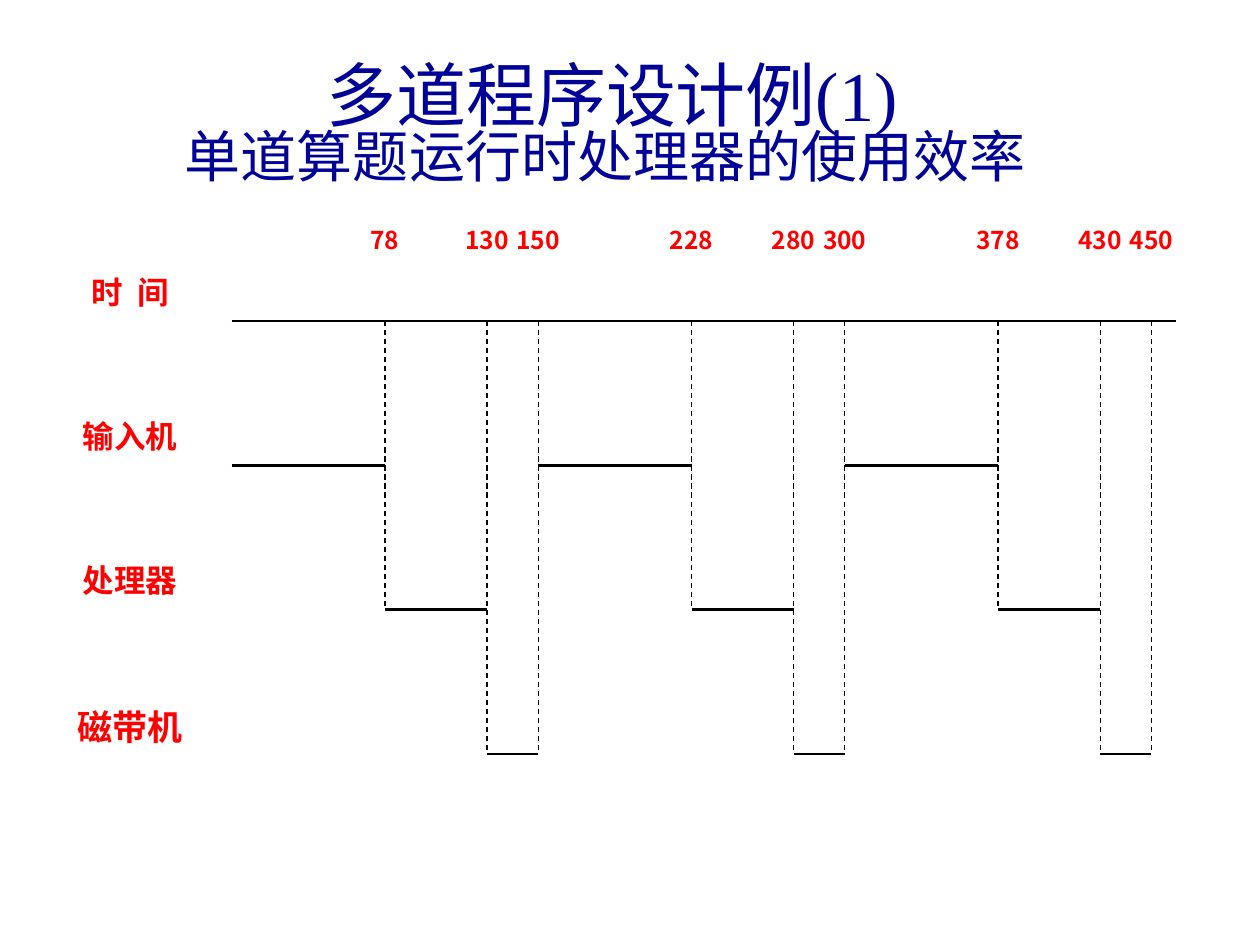
from lxml.etree import SubElement
from pptx import Presentation
from pptx.dml.color import RGBColor
from pptx.enum.dml import MSO_LINE_DASH_STYLE as Dash
from pptx.enum.shapes import MSO_CONNECTOR as Connector
from pptx.enum.text import MSO_ANCHOR as Anchor, PP_ALIGN as Align
from pptx.oxml.ns import qn
from pptx.util import Cm, Pt

CJK_FONT = "Noto Sans CJK SC"
LATIN_FONT = "Times New Roman"
NAVY, RED, BLACK = "000099", "FF0000", "000000"

# Time runs right from AXIS_LEFT; one cycle is 3 + 2 + 1 steps.
AXIS_LEFT, STEP = 4.67, 1.03
AXIS_TOP, ROW_GAP = 6.47, 2.91
CYCLE_STEPS = 6
PHASES = [(0, 3), (3, 5), (5, 6)]  # input, processor, tape
CYCLE_TIMES = [(78, 130, 150), (228, 280, 300), (378, 430, 450)]
DEVICES = [("时  间", 18), ("输入机", 18), ("处理器", 18), ("磁带机", 20)]


def color(hex_code):
    return RGBColor.from_string(hex_code)


def time_x(step):
    return AXIS_LEFT + step * STEP


def row_y(row):
    return AXIS_TOP + row * ROW_GAP


def style_paragraph(paragraph, size, hex_code, latin, bold=False):
    for run in paragraph.runs:
        font = run.font
        font.size, font.bold, font.name = Pt(size), bold, latin
        font.color.rgb = color(hex_code)
        SubElement(font._element, qn("a:ea"), typeface=CJK_FONT)


def add_title(slide):
    frame = slide.shapes.add_textbox(Cm(3.48), Cm(1.32), Cm(22.02), Cm(3.61)).text_frame
    frame.word_wrap = True
    frame.vertical_anchor = Anchor.MIDDLE
    frame.margin_bottom = Cm(1.22)
    frame.text = "多道程序设计例(1)\n单道算题运行时处理器的使用效率"
    for paragraph, size in zip(frame.paragraphs, (40, 32)):
        paragraph.line_spacing = 0.8
        style_paragraph(paragraph, size, NAVY, LATIN_FONT)
    heading_format = frame.paragraphs[0]._p.get_or_add_pPr()
    heading_format.set("marL", str(Cm(2.85)))
    heading_format.set("indent", "0")


def add_label(slide, text, left, top, width, size):
    frame = slide.shapes.add_textbox(Cm(left), Cm(top), Cm(width), Cm(1.93)).text_frame
    frame.word_wrap = True
    frame.margin_left = frame.margin_right = frame.margin_top = frame.margin_bottom = 0
    frame.text = text
    frame.paragraphs[0].alignment = Align.CENTER
    style_paragraph(frame.paragraphs[0], size, RED, CJK_FONT, bold=True)


def add_line(slide, start, end, width=1.5, dash=None):
    line = slide.shapes.add_connector(Connector.STRAIGHT, *map(Cm, start + end))
    line.line.color.rgb = color(BLACK)
    line.line.width = Pt(width)
    if dash:
        line.line.dash_style = dash
    SubElement(line._element.spPr, qn("a:effectLst"))


def add_cycle(slide, first_step, times):
    """Draw one input, processing and tape cycle with its time marks."""
    for row, ((begin, end), time) in enumerate(zip(PHASES, times), start=1):
        begin_x, end_x = time_x(first_step + begin), time_x(first_step + end)
        add_line(slide, (begin_x, row_y(row)), (end_x, row_y(row)))
        guide_bottom = row_y(min(row + 1, len(PHASES)))
        add_line(slide, (end_x, AXIS_TOP), (end_x, guide_bottom), 0.75, Dash.DASH)
        add_label(slide, str(time), end_x - STEP / 2, 4.53, STEP, 14)


def main():
    presentation = Presentation()
    presentation.slide_width, presentation.slide_height = Cm(25.4), Cm(19.05)
    slide = presentation.slides.add_slide(presentation.slide_layouts[6])

    add_title(slide)
    for row, (device, size) in enumerate(DEVICES):
        add_label(slide, device, 1.07, row_y(row) - 0.97, 3.1, size)
    add_line(slide, (AXIS_LEFT, AXIS_TOP), (23.7, AXIS_TOP))
    for cycle, times in enumerate(CYCLE_TIMES):
        add_cycle(slide, cycle * CYCLE_STEPS, times)

    presentation.save("out.pptx")


if __name__ == "__main__":
    main()
